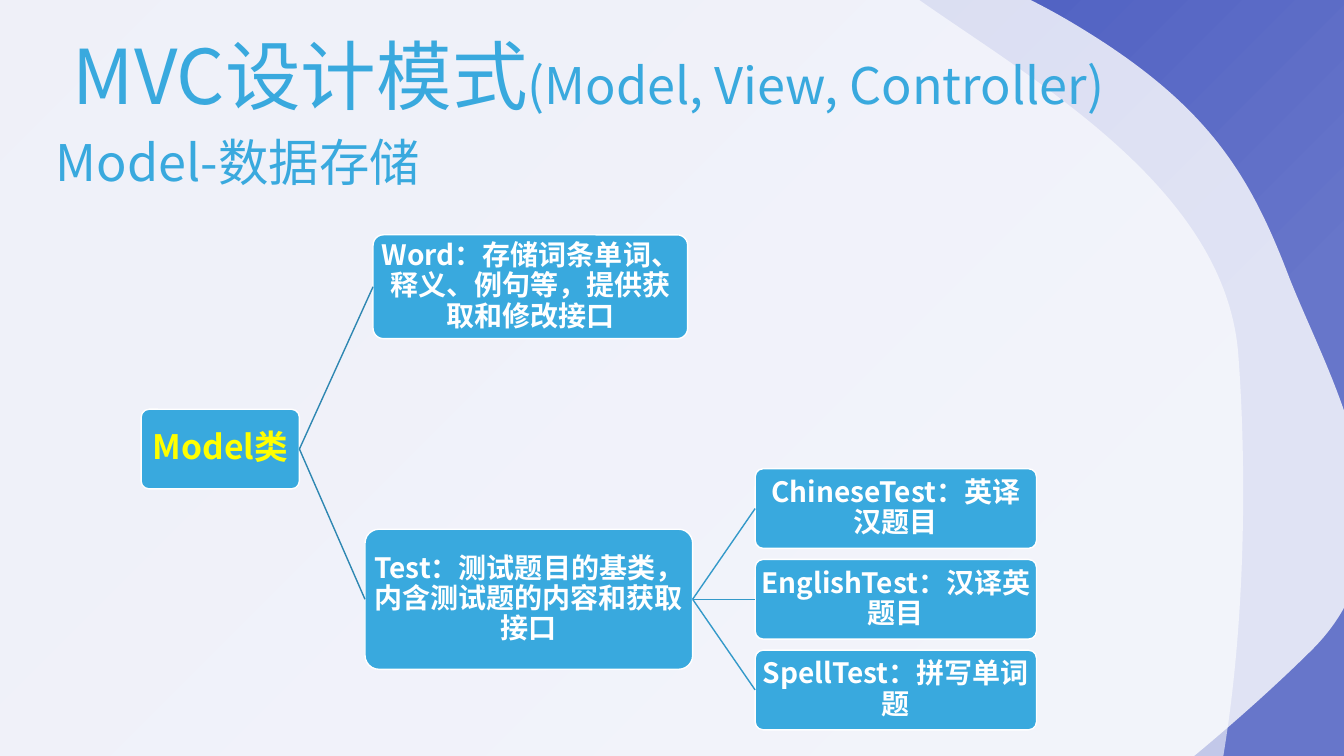
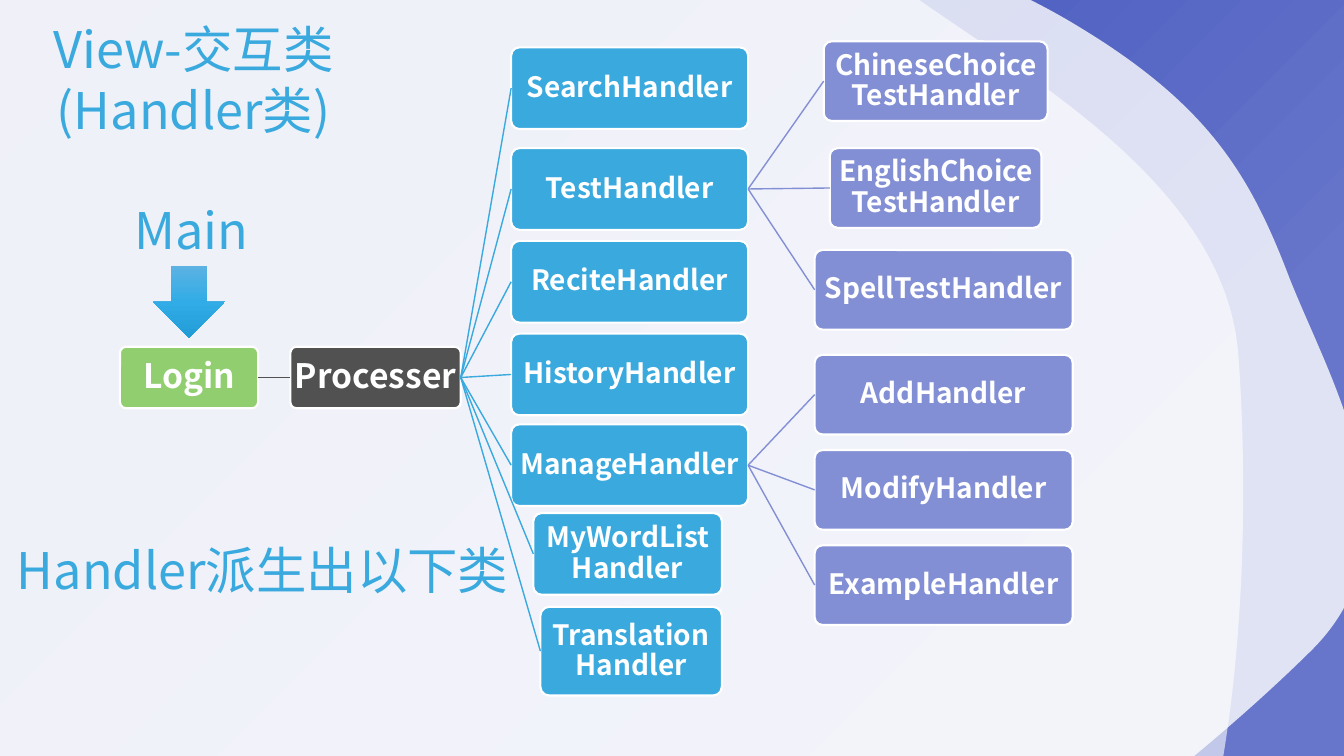
from lxml.etree import SubElement
from pptx import Presentation
from pptx.dml.color import RGBColor
from pptx.enum.shapes import MSO_CONNECTOR, MSO_SHAPE
from pptx.enum.text import MSO_ANCHOR, MSO_AUTO_SIZE, PP_ALIGN
from pptx.oxml.ns import qn
from pptx.util import Inches, Pt

FONT = "Noto Sans CJK SC"
WHITE = RGBColor(0xFF, 0xFF, 0xFF)
SKY = RGBColor(0x39, 0xA9, 0xDE)
TEAL = RGBColor(0x2E, 0x87, 0xB2)
AZURE = RGBColor(0x34, 0x99, 0xC9)
LILAC = RGBColor(0x83, 0x8F, 0xD4)
GREEN = RGBColor(0x91, 0xCE, 0x6F)
GRAY = RGBColor(0x51, 0x51, 0x51)
YELLOW = RGBColor(0xFF, 0xFF, 0x00)
INDIGO = RGBColor(0x67, 0x76, 0xCA)
NAVY = [(0, INDIGO), (23, INDIGO),
        (69, RGBColor(0x43, 0x55, 0xBE)), (97, RGBColor(0x3E, 0x4F, 0xB2))]
ARROW = [(0, RGBColor(0x5B, 0xB2, 0xE3)), (50, RGBColor(0x31, 0xAC, 0xE6)),
         (100, RGBColor(0x22, 0x9C, 0xD6))]
OUTER = [
    (8.99, -0.09), (7.82, -0.94), (6.92, -1.43), (5.25, -1.57),
    (3.58, -1.71), (1.07, -1.16), (-0.29, -0.06),
    (-1.64, 1.03), (-3, 3.33), (-2.87, 5),
    (-2.73, 6.68), (-0.84, 10.31), (1.13, 11.21),
    (3.09, 12.1), (8.7, 12.07), (10.56, 10.78),
    (12.42, 9.5), (12.41, 5.17), (12.28, 3.5),
    (12.14, 1.82), (10.16, 0.75), (8.99, -0.09)]
INNER = [
    (12.79, 2.76), (12.39, 1.71), (11.97, 1.01), (10.59, 0.2),
    (9.21, -0.61), (6.56, -1.35), (4.54, -1.23),
    (2.51, -1.12), (-0.44, -0.24), (-1.58, 0.88),
    (-2.72, 2.01), (-3.79, 5.14), (-2.71, 6.56),
    (-1.64, 7.98), (3.36, 10.38), (5.98, 10.36),
    (8.6, 10.35), (11.86, 7.59), (13, 6.46),
    (14.14, 5.34), (13.2, 3.8), (12.79, 2.76)]


def shade(shape, stops, angle):
    shape.fill.gradient()
    shape.fill.gradient_angle = 360 - angle
    group = next(shape.element.iter(qn("a:gsLst")))
    for old in list(group):
        group.remove(old)
    for spot, tint in stops:
        stop = SubElement(group, qn("a:gs"), pos=str(spot * 1000))
        SubElement(stop, qn("a:srgbClr"), val=str(tint))


def preset(slide, kind, box):
    shape = slide.shapes.add_shape(kind, *map(Inches, box))
    shape.shadow.inherit = False
    shape.line.fill.background()
    return shape


def blob(slide, points, alpha):
    first, *rest = [(Inches(x), Inches(y)) for x, y in points]
    pen = slide.shapes.build_freeform(*first)
    pen.add_line_segments(rest, close=True)
    shape = pen.convert_to_shape()
    shape.shadow.inherit = False
    shape.line.fill.background()
    shape.fill.solid()
    shape.fill.fore_color.rgb = WHITE
    tint = next(shape.element.spPr.iter(qn("a:srgbClr")))
    SubElement(tint, qn("a:alpha"), val=str(alpha * 1000))
    lines = list(shape.element.iter(qn("a:lnTo")))
    for i in range(0, len(lines), 3):
        curve = lines[i]
        parent = curve.getparent()
        bend = SubElement(parent, qn("a:cubicBezTo"))
        curve.addprevious(bend)
        for line in lines[i:i + 3]:
            bend.append(line[0])
            parent.remove(line)
    return shape


def backdrop(slide, layout, size):
    base = preset(slide, MSO_SHAPE.RECTANGLE, (0, 0, *size))
    shade(base, NAVY, 225)
    parts = [base, blob(slide, OUTER, 60), blob(slide, INNER, 80)]
    for i, part in enumerate(parts):
        layout.shapes.element.insert(2 + i, part.element)


def write(frame, lines, color=SKY, bold=False):
    for i, runs in enumerate(lines):
        para = frame.add_paragraph() if i else frame.paragraphs[0]
        para.alignment = PP_ALIGN.CENTER
        for text, size in runs:
            run = para.add_run()
            run.text = text
            run.font.size = Pt(size)
            run.font.bold = bold
            run.font.color.rgb = color
            run.font.name = FONT
            SubElement(run._r.get_or_add_rPr(), qn("a:ea"), typeface=FONT)


def title(slide, box, lines, wrap):
    head = slide.shapes.title
    head.left, head.top, head.width, head.height = map(Inches, box)
    frame = head.text_frame
    frame.auto_size = MSO_AUTO_SIZE.NONE
    frame.word_wrap = wrap
    frame.vertical_anchor = MSO_ANCHOR.TOP
    write(frame, lines)


def label(slide, box, text, wrap=False):
    frame = slide.shapes.add_textbox(*map(Inches, box)).text_frame
    frame.word_wrap = wrap
    write(frame, [[(text, 36)]])


def node(slide, text, box, fill=SKY, edge=1.5, size=20, color=WHITE,
         inset=0.01):
    shape = preset(slide, MSO_SHAPE.ROUNDED_RECTANGLE, box)
    shape.adjustments[0] = 0.1
    shape.fill.solid()
    shape.fill.fore_color.rgb = fill
    shape.line.color.rgb = WHITE
    shape.line.width = Pt(edge)
    frame = shape.text_frame
    frame.word_wrap = True
    frame.vertical_anchor = MSO_ANCHOR.MIDDLE
    frame.margin_left = frame.margin_right = Inches(inset)
    frame.margin_top = frame.margin_bottom = Inches(0.01)
    write(frame, [[(text, size)]], color, True)
    frame.paragraphs[0].line_spacing = 0.9
    return shape


def join(slide, start, end, color):
    wire = slide.shapes.add_connector(MSO_CONNECTOR.STRAIGHT, 0, 0, 0, 0)
    wire.begin_connect(start, 3)
    wire.end_connect(end, 1)
    wire.line.color.rgb = color
    wire.line.width = Pt(1)
    SubElement(wire.element.spPr, qn("a:effectLst"))


def fan(slide, root, items, wire, **style):
    leaves = []
    for text, box in items:
        leaf = node(slide, text, box, **style)
        join(slide, root, leaf, wire)
        leaves.append(leaf)
    return leaves


def stack(names, left, top, step, width, height):
    return [(name, (left, top + i * step, width, height))
            for i, name in enumerate(names)]


def model(slide):
    title(slide, (0.36, 0.24, 10.96, 1.01),
          [[("MVC设计模式", 54), ("(Model, View, Controller)", 36)]], False)
    label(slide, (0.36, 1.25, 4, 0.71), "Model-数据存储")
    root = node(slide, "Model类", (1.4, 4.06, 1.57, 0.79),
                edge=1, size=24, color=YELLOW)
    word, test = fan(slide, root, [
        ("Word：存储词条单词、释义、例句等，提供获取和修改接口",
         (3.7, 2.33, 3.12, 1.03)),
        ("Test：测试题目的基类，内含测试题的内容和获取接口",
         (3.62, 5.25, 3.25, 1.39))], TEAL, edge=1)
    names = ["ChineseTest：英译汉题目", "EnglishTest：汉译英题目",
             "SpellTest：拼写单词题"]
    fan(slide, test, stack(names, 7.49, 4.65, 0.9, 2.79, 0.79),
        AZURE, edge=1)


def view(slide):
    title(slide, (0, 0.13, 3.84, 1.31),
          [[("View-交互类", 36)], [("(Handler类)", 36)]], True)
    login = node(slide, "Login", (1.19, 3.44, 1.37, 0.61), GREEN, size=24)
    hub, = fan(slide, login, [("Processer", (2.88, 3.44, 1.69, 0.61))],
               GRAY, fill=GRAY, size=24)
    tops = {"Search": 0.47, "Test": 1.47, "Recite": 2.39,
            "History": 3.31, "Manage": 4.21}
    items = [(name + "Handler", (5.07, top, 2.35, 0.81))
             for name, top in tops.items()]
    items += [("MyWordListHandler", (5.29, 5.09, 1.87, 0.81)),
              ("TranslationHandler", (5.36, 6.02, 1.8, 0.88))]
    leaves = fan(slide, hub, items, SKY)
    fan(slide, leaves[1], [
        ("ChineseChoiceTestHandler", (8.17, 0.41, 2.22, 0.79)),
        ("EnglishChoiceTestHandler", (8.23, 1.47, 2.1, 0.79)),
        ("SpellTestHandler", (8.08, 2.48, 2.56, 0.79))],
        LILAC, fill=LILAC, inset=0.04)
    names = ["AddHandler", "ModifyHandler", "ExampleHandler"]
    fan(slide, leaves[4], stack(names, 8.08, 3.52, 0.945, 2.56, 0.79),
        LILAC, fill=LILAC, inset=0.04)
    arrow = preset(slide, MSO_SHAPE.DOWN_ARROW, (1.52, 2.64, 0.71, 0.71))
    shade(arrow, ARROW, 90)
    label(slide, (1.19, 1.93, 1.42, 0.71), "Main")
    label(slide, (-0.11, 5.3, 5.43, 0.71), "Handler派生出以下类", True)


def main():
    deck = Presentation()
    size = (13.33, 7.5)
    deck.slide_width, deck.slide_height = map(Inches, size)
    layout = deck.slide_layouts[5]
    first, second = [deck.slides.add_slide(layout) for _ in range(2)]
    backdrop(first, layout, size)
    model(first)
    view(second)
    deck.save("out.pptx")


if __name__ == "__main__":
    main()
